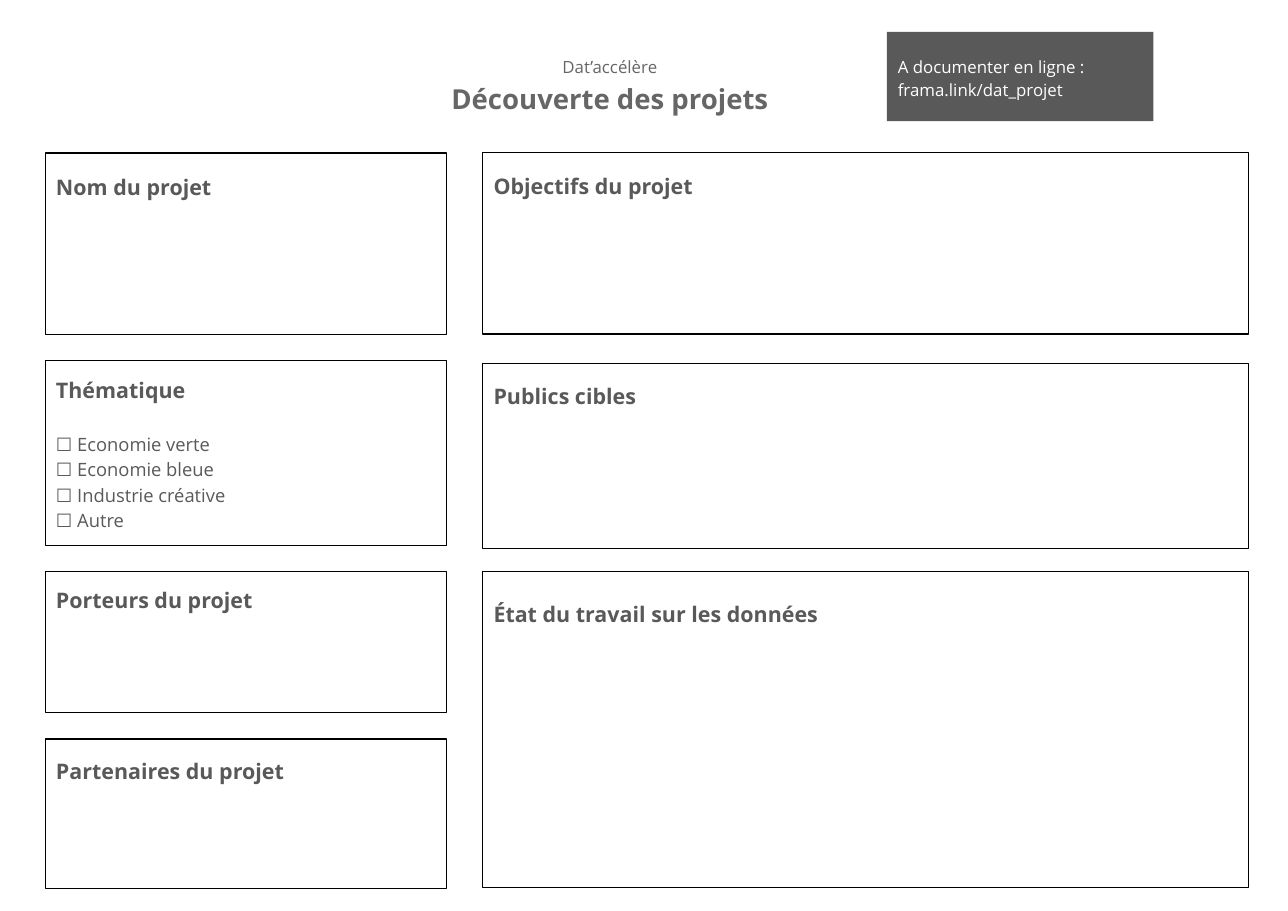
"""Build the project discovery worksheet slide."""
from pptx import Presentation
from pptx.dml.color import RGBColor
from pptx.enum.shapes import MSO_SHAPE
from pptx.enum.text import MSO_ANCHOR, PP_ALIGN
from pptx.util import Pt

RECT = MSO_SHAPE.RECTANGLE
TOP, MIDDLE = MSO_ANCHOR.TOP, MSO_ANCHOR.MIDDLE
LEFT, CENTER = PP_ALIGN.LEFT, PP_ALIGN.CENTER
COLORS = {"title": "666666", "text": "595959", "line": "000000", "white": "FFFFFF"}
INSET = 7.2


def rgb(name):
    return RGBColor.from_string(COLORS[name])


def write(sp, lines, color, align=LEFT, anchor=TOP, top=INSET):
    tf = sp.text_frame
    frame = {"word_wrap": True, "vertical_anchor": anchor, "margin_top": Pt(top),
             "margin_left": Pt(INSET), "margin_right": Pt(INSET), "margin_bottom": Pt(INSET)}
    for name, value in frame.items():
        setattr(tf, name, value)
    for i, (text, size, bold, before) in enumerate(lines):
        p = tf.paragraphs[0] if i == 0 else tf.add_paragraph()
        p.alignment, p.line_spacing = align, 1.15
        if before:
            p.space_before = Pt(before)
        r = p.add_run()
        r.text = text
        for name, value in {"name": "Open Sans", "size": Pt(size), "bold": bold}.items():
            setattr(r.font, name, value)
        r.font.color.rgb = rgb(color)


prs = Presentation()
prs.slide_width, prs.slide_height = Pt(841.7), Pt(595.4)
s = prs.slides.add_slide(prs.slide_layouts[6])

title = s.shapes.add_textbox(Pt(257.8), Pt(20.9), Pt(281.5), Pt(58.3))
write(title, [("Dat’accélère", 11, False, 0), ("Découverte des projets", 18, True, 0)],
      "title", CENTER, top=14.5)

link = s.shapes.add_shape(RECT, Pt(579.6), Pt(20.9), Pt(174.2), Pt(58.3))
link.shadow.inherit = False
link.fill.solid()
link.fill.fore_color.rgb = rgb("text")
link.line.fill.background()
write(link, [("A documenter en ligne : frama.link/dat_projet", 11, False, 0)],
      "white", anchor=MIDDLE)

themes = ["Economie verte", "Economie bleue", "Industrie créative", "Autre"]
columns = [
    (29.5, 262.1, [
        ("Nom du projet", 100, 118.8, 11, []),
        ("Thématique", 235.4, 121, 8.5, themes),
        ("Porteurs du projet", 373.7, 92.2, 7.4, []),
        ("Partenaires du projet", 483, 98, 9.7, []),
    ]),
    (315.4, 500.4, [
        ("Objectifs du projet", 99.5, 118.8, 11.2, []),
        ("Publics cibles", 237.6, 121, 10.2, []),
        ("État du travail sur les données", 373.7, 206.6, 16.5, []),
    ]),
]
for x, width, boxes in columns:
    for heading, y, height, top, choices in boxes:
        sp = s.shapes.add_shape(RECT, Pt(x), Pt(y), Pt(width), Pt(height))
        sp.shadow.inherit = False
        sp.fill.background()
        sp.line.color.rgb = rgb("line")
        sp.line.width = Pt(0.75)
        lines = [(heading, 14, True, 0)]
        for i, choice in enumerate(choices):
            lines.append((f"☐ {choice}", 12, False, 0 if i else 17.8))
        write(sp, lines, "text", top=top)

prs.save("out.pptx")
